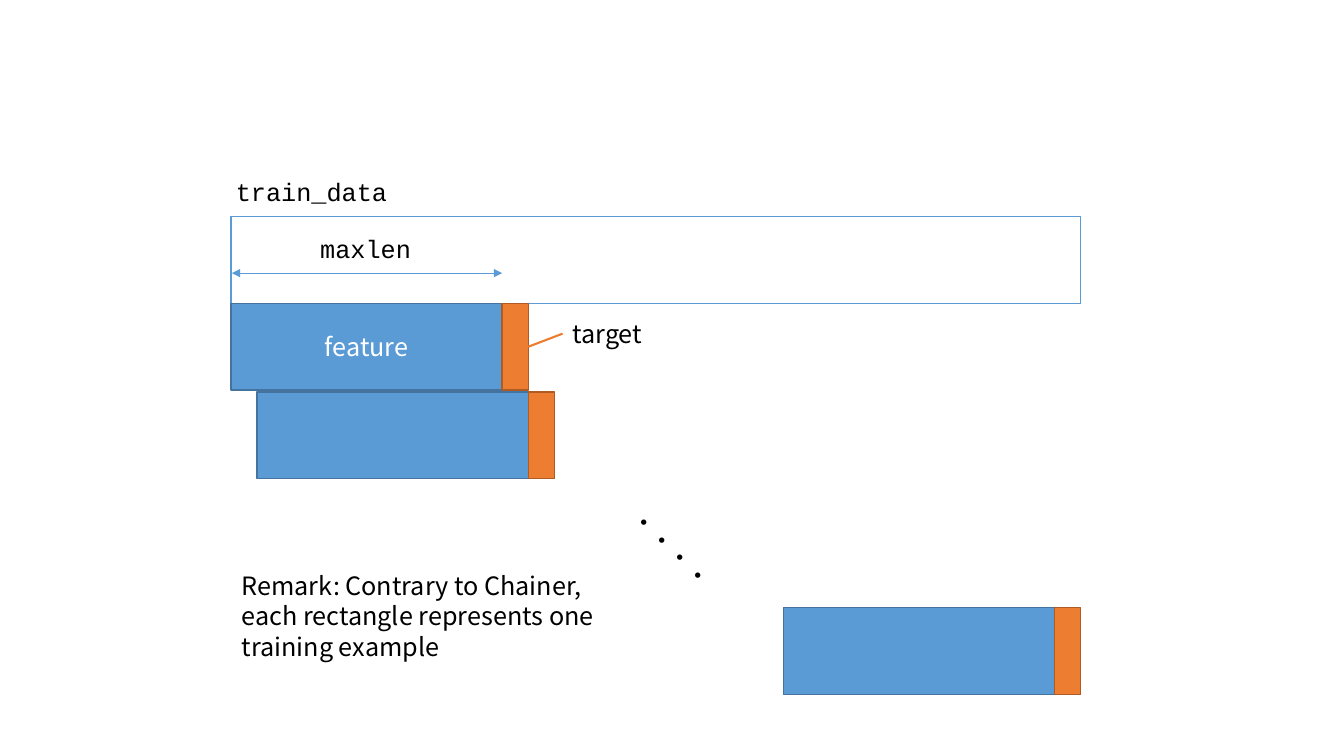
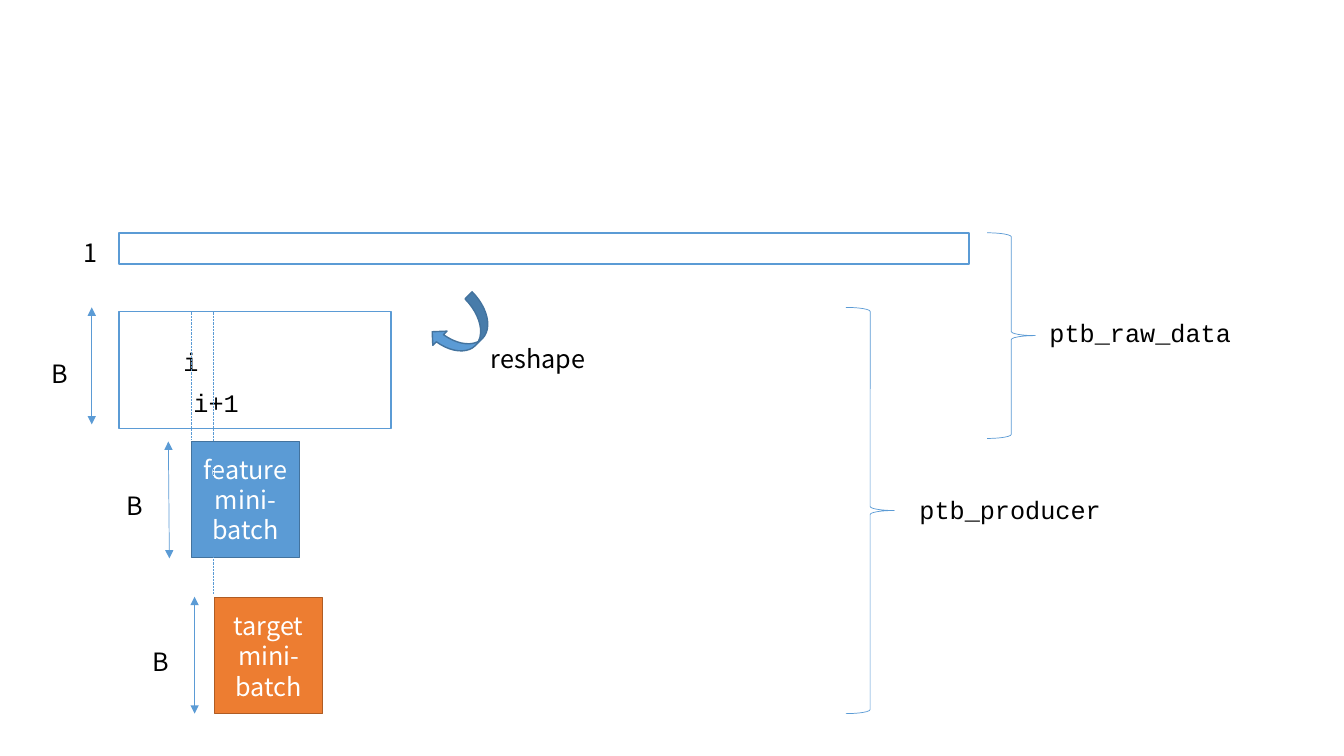
from dataclasses import dataclass
from lxml.etree import SubElement
from pptx import Presentation
from pptx.dml.color import RGBColor
from pptx.enum.dml import MSO_LINE
from pptx.enum.shapes import MSO_CONNECTOR, MSO_SHAPE
from pptx.enum.text import MSO_ANCHOR, MSO_AUTO_SIZE, PP_ALIGN
from pptx.oxml.ns import qn
from pptx.util import Pt

SCALE = 9144


@dataclass(frozen=True)
class Theme:
    blue: str = "5B9BD5"
    navy: str = "43739E"
    orange: str = "ED7D31"
    rust: str = "AF5C24"
    white: str = "FFFFFF"
    black: str = "000000"
    sans: str = "Noto Sans CJK JP"
    mono: str = "Courier New"
    size: float = 18
    thin: float = 0.5
    edge: float = 1
    bold: float = 1.5


T = Theme()
LOOKS = {
    "data": (T.white, T.blue, T.edge),
    "feature": (T.blue, T.navy, T.edge),
    "target": (T.orange, T.rust, T.edge),
    "brace": (None, T.blue, T.thin),
}

SPAN, STEP, TALL = 269, 26, 86
ROWS = [(229, 301, ["feature"]), (255, 389, []), (777, 603, [])]
NOTE = ["Remark: Contrary to Chainer,",
        "each rectangle represents one training example"]
TRAIN = {
    "boxes": [("data", (229, 215, 843, TALL), [])] + [
        box for x, y, words in ROWS for box in (
            ("feature", (x, y, SPAN, TALL), words),
            ("target", (x + SPAN, y, STEP, TALL), []))],
    "labels": [
        (["・・・・"], (606, 525, 121, 40), T.sans, {"turn": 45}),
        (["train_data"], (224, 170, 171, 40), T.mono, {}),
        (["maxlen"], (307, 227, 111, 40), T.mono, {"align": PP_ALIGN.CENTER}),
        (NOTE, (230, 561, 463, 101), T.sans, {"wrap": True}),
        (["target"], (558, 311, 89, 40), T.sans, {}),
    ],
    "arrows": [(230, 271, 498, 271)],
    "dots": [],
}

MINI = "mini-batch"
BATCH = {
    "boxes": [
        ("data", (118, 231, 843, 31), []),
        ("data", (118, 309, 270, 116), []),
        ("feature", (190, 438, 107, 115), ["feature", MINI]),
        ("target", (213, 593, 107, 115), ["target", MINI]),
        ("brace", (979, 231, 48, 204), []),
        ("brace", (839, 305, 48, 403), []),
    ],
    "labels": [
        (["1"], (73, 231, 34, 40), T.sans, {}),
        (["B"], (41, 351, 37, 40), T.sans, {}),
        (["B"], (116, 482, 37, 40), T.sans, {}),
        (["B"], (141, 636, 37, 40), T.sans, {}),
        (["reshape"], (477, 336, 114, 40), T.sans, {}),
        (["i"], (172, 339, 35, 40), T.mono, {}),
        (["i+1"], (182, 379, 65, 40), T.mono, {}),
        (["ptb_raw_data"], (1031, 310, 201, 40), T.mono, {}),
        (["ptb_producer"], (902, 486, 201, 40), T.mono, {}),
    ],
    "arrows": [(91, 421, 91, 305), (168, 554, 167, 438), (193, 708, 193, 592)],
    "dots": [(190, 436, 190, 309), (212, 589, 212, 309)],
}


def emu(spot):
    return [v * SCALE for v in spot]


def put(item, vals):
    for key, val in vals.items():
        setattr(item, key, val)


def write(frame, words, face, tint, align):
    for n, word in enumerate(words):
        para = frame.paragraphs[0] if n == 0 else frame.add_paragraph()
        para.alignment = align
        run = para.add_run()
        run.text = word
        put(run.font, {"size": Pt(T.size), "name": face})
        run.font.color.rgb = RGBColor.from_string(tint)
        SubElement(run.font._element, qn("a:ea")).set("typeface", face)


def ink(line, tint, width):
    line.color.rgb = RGBColor.from_string(tint)
    line.width = Pt(width)


def draw(slide, look, spot, words=(), form=MSO_SHAPE.RECTANGLE, turn=0):
    fill, edge, width = LOOKS[look]
    shape = slide.shapes.add_shape(form, *emu(spot))
    shape.rotation = turn
    shape.shadow.inherit = False
    if fill:
        shape.fill.solid()
        shape.fill.fore_color.rgb = RGBColor.from_string(fill)
    else:
        shape.fill.background()
    ink(shape.line, edge, width)
    shape.text_frame.vertical_anchor = MSO_ANCHOR.MIDDLE
    write(shape.text_frame, words, T.sans, T.white, PP_ALIGN.CENTER)
    return shape


def label(slide, words, spot, face, turn=0, align=PP_ALIGN.LEFT, wrap=False):
    box = slide.shapes.add_textbox(*emu(spot))
    box.rotation = turn
    put(box.text_frame, {"word_wrap": wrap,
                         "auto_size": MSO_AUTO_SIZE.SHAPE_TO_FIT_TEXT})
    write(box.text_frame, words, face, T.black, align)
    return box


def link(slide, ends, tint=T.blue, width=T.thin, dash=None, heads=False):
    line = slide.shapes.add_connector(MSO_CONNECTOR.STRAIGHT, *emu(ends))
    ink(line.line, tint, width)
    if dash:
        line.line.dash_style = dash
    if heads:
        for tag in ("a:headEnd", "a:tailEnd"):
            SubElement(line.line._get_or_add_ln(), qn(tag)).set("type", "triangle")
    SubElement(line._element.spPr, qn("a:effectLst"))
    return line


def build(deck, page):
    slide = deck.slides.add_slide(deck.slide_layouts[6])
    boxes = []
    for look, spot, words in page["boxes"]:
        form = MSO_SHAPE.RIGHT_BRACE if look == "brace" else MSO_SHAPE.RECTANGLE
        boxes.append(draw(slide, look, spot, words, form))
    labels = [label(slide, words, spot, face, **opts)
              for words, spot, face, opts in page["labels"]]
    for ends in page["arrows"]:
        link(slide, ends, heads=True)
    for ends in page["dots"]:
        link(slide, ends, dash=MSO_LINE.ROUND_DOT)
    return slide, boxes, labels


def main():
    deck = Presentation()
    put(deck, {"slide_width": 1333 * SCALE, "slide_height": 750 * SCALE})
    slide, boxes, labels = build(deck, TRAIN)
    lead = link(slide, (524, 344, 558, 331), T.orange, T.bold)
    lead.begin_connect(boxes[2], 3)
    lead.end_connect(labels[-1], 1)
    slide, boxes, labels = build(deck, BATCH)
    draw(slide, "feature", (426, 307, 66, 40),
         form=MSO_SHAPE.CURVED_DOWN_ARROW, turn=135)
    deck.save("out.pptx")


if __name__ == "__main__":
    main()
